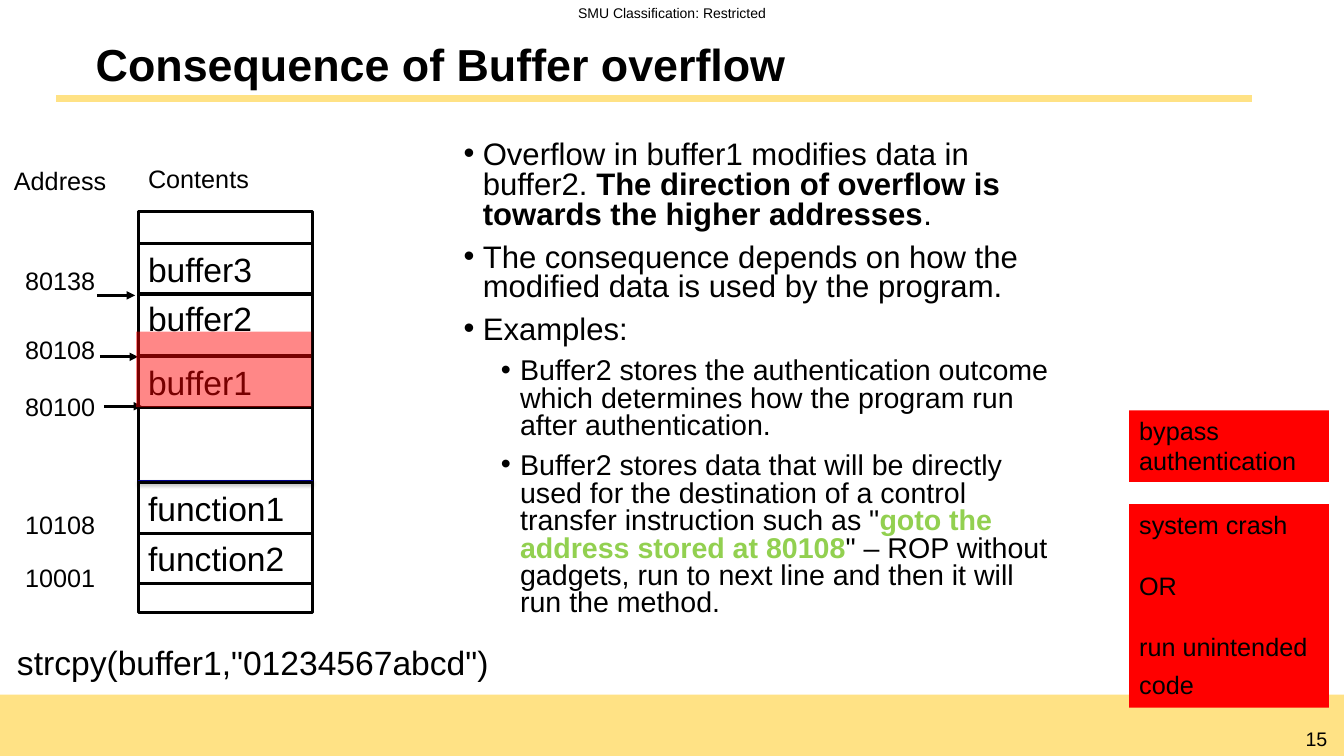
"""Build the slide on the consequence of buffer overflow."""
from dataclasses import dataclass

from lxml.etree import SubElement as Sub
from pptx import Presentation as Deck
from pptx.dml.color import RGBColor as Color
from pptx.enum.shapes import MSO_CONNECTOR as Conn, MSO_SHAPE as Form
from pptx.enum.text import MSO_ANCHOR as Anchor, PP_ALIGN as Align
from pptx.oxml.ns import qn
from pptx.util import Inches, Pt

HUES = {"black": "000000", "white": "FFFFFF", "sand": "FFE285",
        "red": "FF0000", "navy": "000090", "green": "92D050"}
LEFT, WIDE = 1.37, 1.73


@dataclass
class Label:
    text: str
    x: float
    y: float
    w: float
    h: float = 0.4
    size: float = 18
    wrap: bool = False
    bold: bool = False
    align: Align = Align.LEFT


@dataclass
class Block:
    x: float
    y: float
    w: float
    h: float
    fill: str = ""
    edge: str = ""
    alpha: int = 100
    lines: tuple = ()
    size: float = 18
    gap: float = 0


@dataclass
class Rule:
    x: float
    y: float
    end: float
    hue: str = "black"
    width: float = 2
    arrow: bool = False
    shade: bool = False


@dataclass
class Point:
    texts: tuple
    level: int = 0
    size: float = 22.2


def tint(hue: str) -> Color:
    return Color.from_string(HUES[hue])


def style(run, size: float, hue: str = "black", bold: bool = False) -> None:
    font = run.font
    font.name, font.size, font.bold = "Arial", Pt(size), bold
    font.color.rgb = tint(hue)


def put_label(slide, item: Label):
    box = slide.shapes.add_textbox(*map(Inches, (item.x, item.y, item.w, item.h)))
    frame = box.text_frame
    frame.word_wrap = item.wrap
    frame.text = item.text
    para = frame.paragraphs[0]
    para.alignment = item.align
    for run in para.runs:
        style(run, item.size, bold=item.bold)
    return frame


def put_block(slide, item: Block):
    box = slide.shapes.add_shape(
        Form.RECTANGLE, *map(Inches, (item.x, item.y, item.w, item.h)))
    box.shadow.inherit = False
    if item.fill:
        box.fill.solid()
        box.fill.fore_color.rgb = tint(item.fill)
        if item.alpha < 100:
            hue = box._element.spPr.find(qn("a:solidFill")).find(qn("a:srgbClr"))
            Sub(hue, qn("a:alpha"), val=str(item.alpha * 1000))
    else:
        box.fill.background()
    if item.edge:
        box.line.color.rgb = tint(item.edge)
        box.line.width = Pt(2)
    else:
        box.line.fill.background()
    frame = box.text_frame
    frame.word_wrap = True
    frame.vertical_anchor = Anchor.TOP
    for i, text in enumerate(item.lines):
        para = frame.add_paragraph() if i else frame.paragraphs[0]
        para.text = text
        para.alignment = Align.LEFT
        if i:
            para.space_before = Pt(item.gap)
        for run in para.runs:
            style(run, item.size)
    return frame


def put_rule(slide, item: Rule) -> None:
    line = slide.shapes.add_connector(
        Conn.STRAIGHT, *map(Inches, (item.x, item.y, item.end, item.y)))
    line.line.color.rgb = tint(item.hue)
    line.line.width = Pt(item.width)
    props = line._element.spPr
    if item.arrow:
        Sub(props.find(qn("a:ln")), qn("a:tailEnd"), type="triangle")
    fx = Sub(props, qn("a:effectLst"))
    if item.shade:
        cast = Sub(fx, qn("a:outerShdw"), blurRad=str(Pt(3.1)),
                   dist=str(Pt(1.6)), dir="5400000", rotWithShape="0")
        hue = Sub(cast, qn("a:srgbClr"), val=HUES["black"])
        Sub(hue, qn("a:alpha"), val="38000")


def put_points(slide, points: list[Point]) -> None:
    box = slide.shapes.add_textbox(*map(Inches, (4.5, 1.36, 6.11, 5.28)))
    frame = box.text_frame
    frame.word_wrap = True
    for i, point in enumerate(points):
        para = frame.add_paragraph() if i else frame.paragraphs[0]
        props = para._p.get_or_add_pPr()
        props.set("marL", str(Inches(0.56 if point.level else 0.19)))
        props.set("indent", str(Inches(-0.19)))
        Sub(props, qn("a:buFont"), typeface="Arial")
        Sub(props, qn("a:buChar"), char="•")
        para.level = point.level
        para.line_spacing = 0.8
        para.space_after = Pt(4.5)
        if i:
            para.space_before = Pt(4.5)
        for text, hue, bold in point.texts:
            run = para.add_run()
            run.text = text
            style(run, point.size, hue, bold)


POINTS = [
    Point((("Overflow in buffer1 modifies data in buffer2. ", "black", False),
           ("The direction of overflow is towards the higher addresses", "black", True),
           (".", "black", False))),
    Point((("The consequence depends on how the modified data is used by the program.",
            "black", False),)),
    Point((("Examples:", "black", False),)),
    Point((("Buffer2 stores the authentication outcome which determines how the "
            "program run after authentication.", "black", False),), 1, 20.4),
    Point((("Buffer2 stores data that will be directly used for the destination of a "
            "control transfer instruction such as \"", "black", False),
           ("goto the address stored at 80108", "green", True),
           ("\" – ROP without gadgets, run to next line and then it will run the method.",
            "black", False)), 1, 20.4),
]
CELLS = [("buffer1", 3.54, 0.5), ("buffer2", 2.91, 0.62), ("buffer3", 2.42, 0.5),
         ("function1", 4.79, 0.5), ("function2", 5.29, 0.5)]
MARKS = [("10001", 5.53), ("10108", 5), ("80100", 3.83), ("80108", 3.27), ("80138", 2.58)]
ARROWS = [(1.03, 4.03), (0.99, 3.54), (0.96, 2.93)]


def main() -> None:
    deck = Deck()
    deck.slide_width, deck.slide_height = Inches(13.33), Inches(7.5)
    slide = deck.slides.add_slide(deck.slide_layouts[6])
    put_block(slide, Block(0, 6.89, 13.33, 0.61, "sand"))
    put_label(slide, Label("SMU Classification: Restricted", 5.18, 0, 2.97, 0.27, 10,
                           wrap=True, align=Align.CENTER))
    put_label(slide, Label("15", 12.85, 7.16, 0.48, 0.34, 14))
    put_rule(slide, Rule(0.56, 0.98, 12.42, "sand", 4.75))
    title = put_label(slide, Label("Consequence of Buffer overflow", 0.56, 0.34, 11.86,
                                   0.64, 32, wrap=True, bold=True))
    title.margin_left = title.margin_right = Inches(0.39)
    title.vertical_anchor = Anchor.MIDDLE
    title.paragraphs[0].line_spacing = 0.9
    put_points(slide, POINTS)

    put_block(slide, Block(LEFT, 2.1, WIDE, 3.98, "white", "black"))
    put_rule(slide, Rule(LEFT, 4.78, LEFT + WIDE, "navy", shade=True))
    for name, y, h in CELLS:
        put_block(slide, Block(LEFT, y, WIDE, h, edge="black", lines=(name,), size=24))
    for text, y in MARKS:
        put_label(slide, Label(text, 0.15, y, 0.9))
    for x, y in ARROWS:
        put_rule(slide, Rule(x, y, x + 0.38, arrow=True))
    put_block(slide, Block(1.35, 3.29, 1.74, 0.75, "red", alpha=47))
    put_label(slide, Label("strcpy(buffer1,\"01234567abcd\")", 0.07, 6.32, 4.93, 0.5, 24))

    put_block(slide, Block(11.2, 4.07, 1.98, 0.71, "red", lines=("bypass authentication",)))
    crash = put_block(slide, Block(11.2, 5, 1.98, 2.02, "red", gap=22,
                                   lines=("system crash", "OR", "run unintended code")))
    tail = crash.paragraphs[-1].add_run()
    tail.text = " "
    style(tail, 24)
    put_label(slide, Label("Address", 0.04, 1.59, 1.13))
    put_label(slide, Label("Contents", LEFT, 1.57, 1.23))
    deck.save("out.pptx")


if __name__ == "__main__":
    main()
